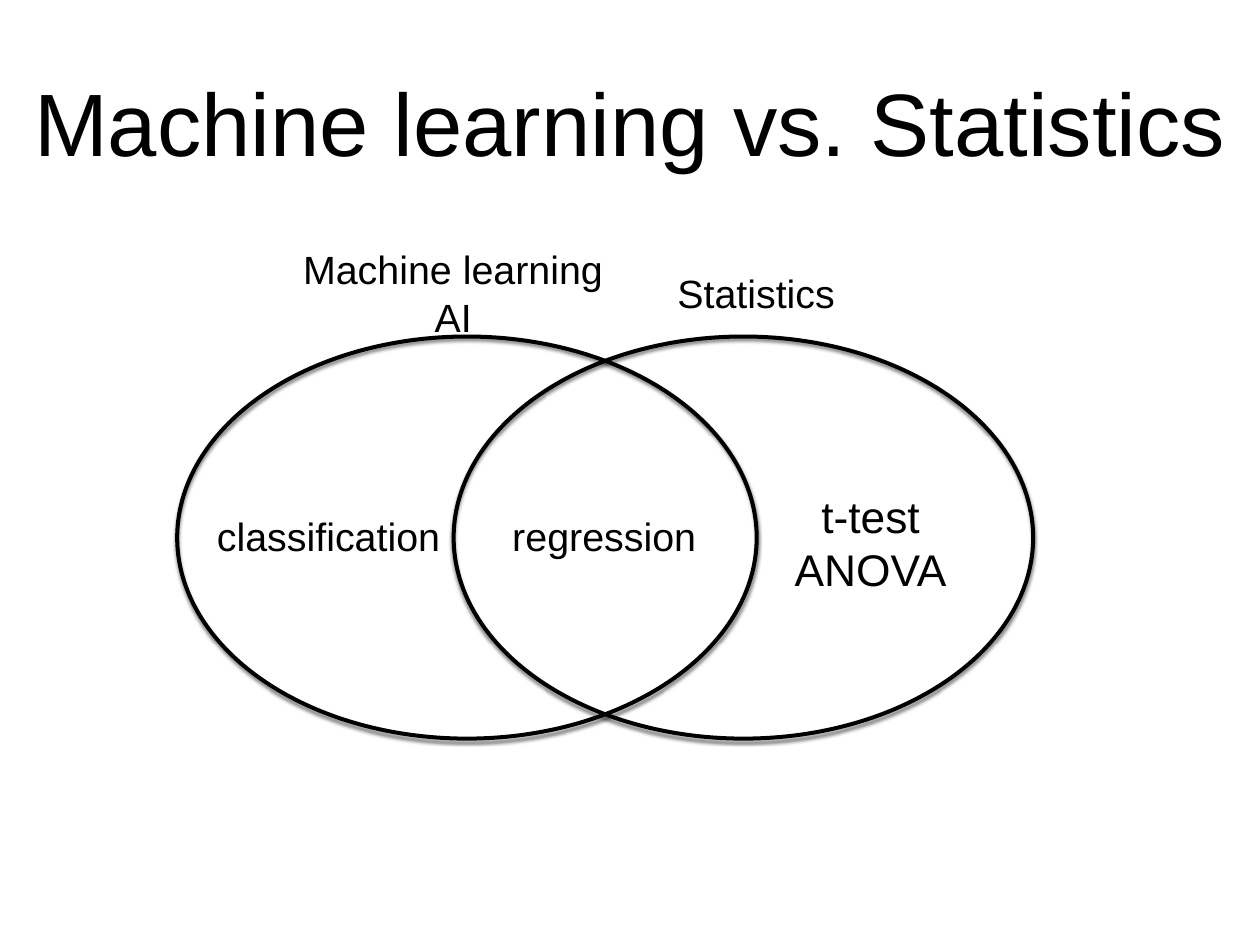
from dataclasses import dataclass

from lxml import etree
from pptx import Presentation
from pptx.dml.color import RGBColor
from pptx.enum.shapes import MSO_SHAPE
from pptx.enum.text import MSO_ANCHOR, MSO_AUTO_SIZE, PP_ALIGN
from pptx.oxml import parse_xml
from pptx.oxml.ns import qn
from pptx.util import Inches, Pt

OVAL = MSO_SHAPE.OVAL
MIDDLE = MSO_ANCHOR.MIDDLE
CENTER = PP_ALIGN.CENTER
FIT_SHAPE = MSO_AUTO_SIZE.SHAPE_TO_FIT_TEXT
BLANK = 6
A_NS = "http://schemas.openxmlformats.org/drawingml/2006/main"


@dataclass(frozen=True)
class Theme:
    font: str = "Arial"
    ink: str = "000000"
    paper: str = "FFFFFF"
    title: float = 72
    label: float = 32
    methods: float = 36
    outline: float = 3.25
    inset: float = 0.06


THEME = Theme()


def add_text(slide, box, lines, size, wrap=False):
    sp = slide.shapes.add_textbox(*map(Inches, box))
    tf = sp.text_frame
    inset = Inches(THEME.inset)
    frame_format = {
        "margin_left": inset, "margin_right": inset,
        "margin_top": inset, "margin_bottom": inset,
        "vertical_anchor": MIDDLE, "word_wrap": wrap, "auto_size": FIT_SHAPE,
    }
    for name, value in frame_format.items():
        setattr(tf, name, value)
    for i, line in enumerate(lines):
        p = tf.add_paragraph() if i else tf.paragraphs[0]
        p.alignment = CENTER
        r = p.add_run()
        r.text = line
        for name, value in {"name": THEME.font, "size": Pt(size)}.items():
            setattr(r.font, name, value)
        r.font.color.rgb = RGBColor.from_string(THEME.ink)


def add_soft_shadow(sp):
    sp.shadow.inherit = False
    effects = sp._element.spPr.find(qn("a:effectLst"))
    shadow = parse_xml(
        f'<a:outerShdw xmlns:a="{A_NS}" blurRad="{Pt(3)}" dist="{Pt(2)}" '
        'dir="5400000" rotWithShape="0"/>'
    )
    color = etree.SubElement(shadow, qn("a:srgbClr"), val=THEME.ink)
    etree.SubElement(color, qn("a:alpha"), val="50000")
    effects.append(shadow)


def add_set(slide, box):
    sp = slide.shapes.add_shape(OVAL, *map(Inches, box))
    sp.fill.background()
    sp.line.color.rgb = RGBColor.from_string(THEME.ink)
    sp.line.width = Pt(THEME.outline)
    add_soft_shadow(sp)


def add_title(slide, box):
    add_text(slide, box, ["Machine learning vs. Statistics"], THEME.title)


def add_venn(slide, box):
    left, top, width, height = box
    set_width = 6.54
    for x in (left, left + width - set_width):
        add_set(slide, (x, top, set_width, height))
    labels = [
        ((5.58, -0.82, 1.91, 0.65), ["Statistics"], THEME.label, False),
        ((1.33, -1.09, 3.57, 1.19), ["Machine learning", "AI"], THEME.label, False),
        ((3.62, 1.92, 2.4, 0.65), ["regression"], THEME.label, True),
        ((0.36, 1.92, 2.7, 0.65), ["classification"], THEME.label, False),
        ((6.9, 1.66, 1.85, 1.32), ["t-test", "ANOVA"], THEME.methods, False),
    ]
    for (x, y, w, h), lines, size, wrap in labels:
        add_text(slide, (left + x, top + y, w, h), lines, size, wrap)


def main():
    prs = Presentation()
    prs.slide_width, prs.slide_height = Inches(14.22), Inches(10.67)
    slide = prs.slides.add_slide(prs.slide_layouts[BLANK])
    fill = slide.background.fill
    fill.solid()
    fill.fore_color.rgb = RGBColor.from_string(THEME.paper)
    add_title(slide, (0.21, 0.71, 13.8, 1.32))
    add_venn(slide, (2, 3.8, 9.66, 4.54))
    prs.save("out.pptx")


if __name__ == "__main__":
    main()
